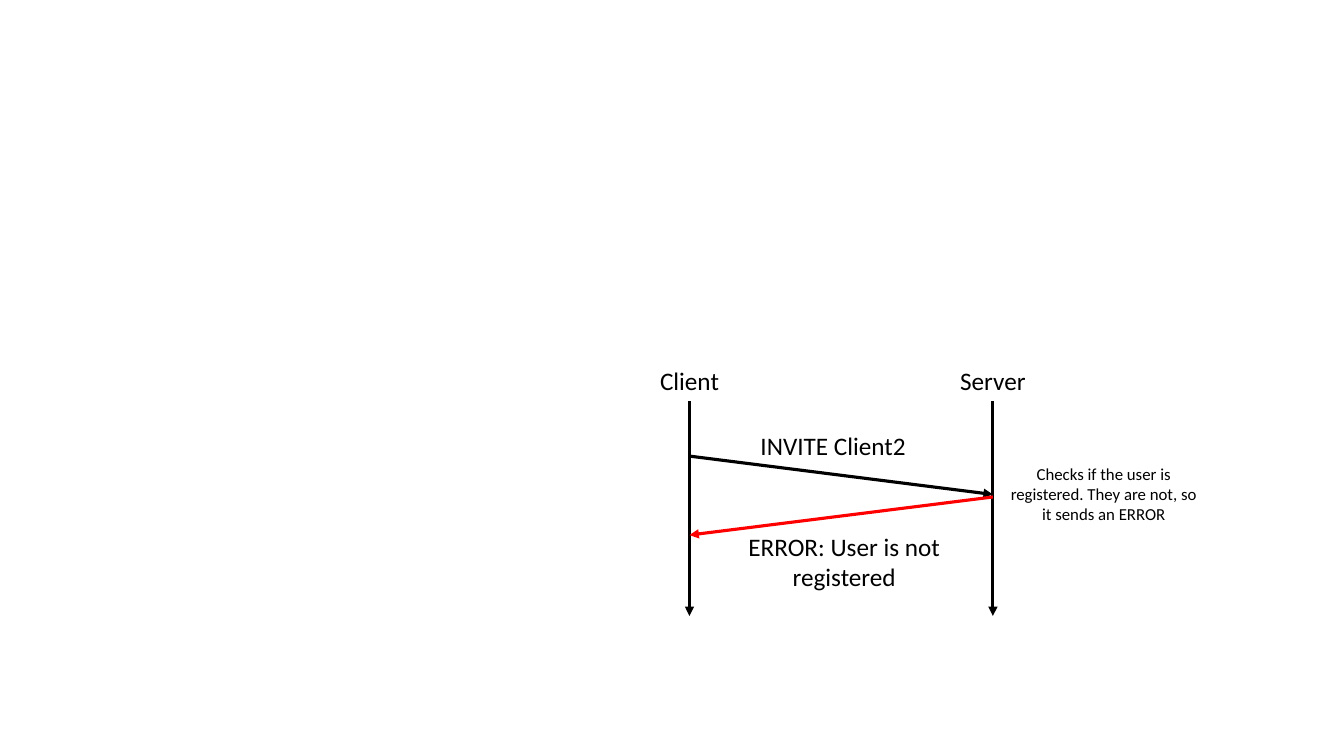
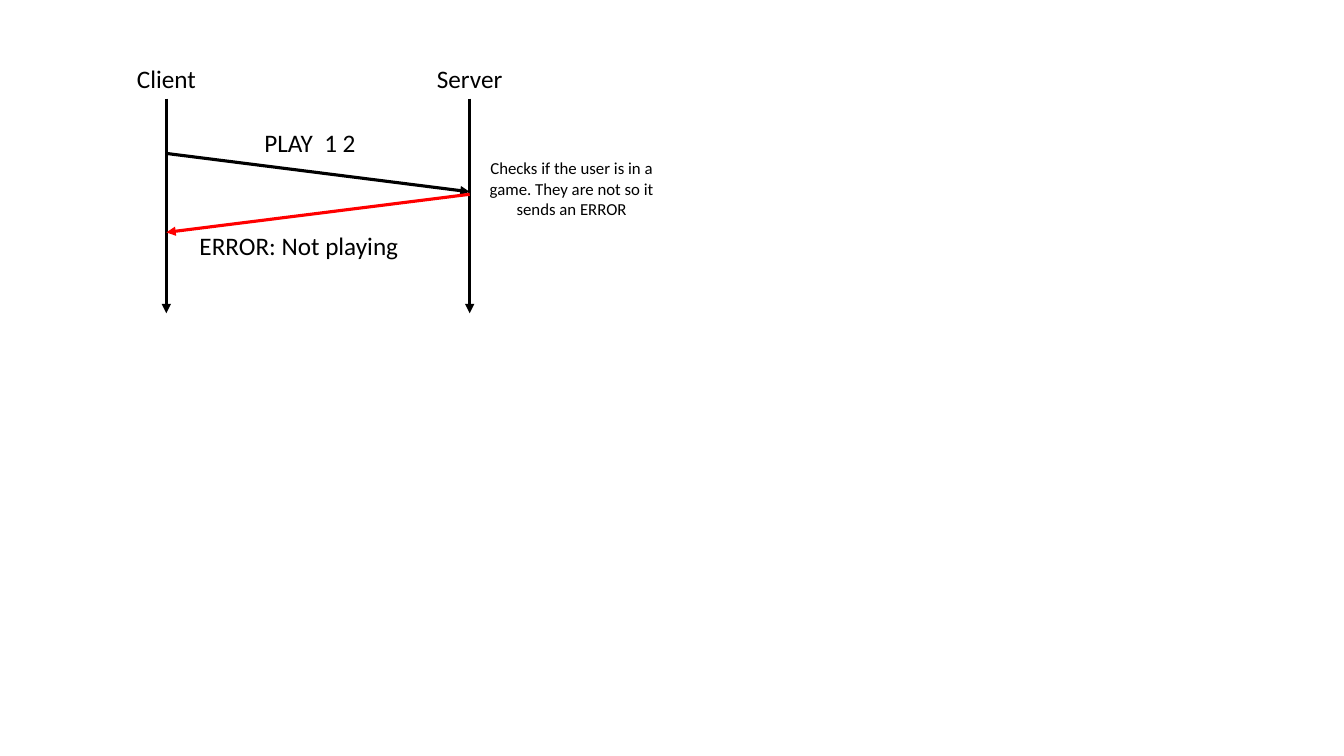
import pptx
import pptx.dml.color
import pptx.enum.shapes
import pptx.enum.text
import pptx.oxml
import pptx.oxml.ns
import pptx.util

Pt = pptx.util.Pt
ALIGN = pptx.enum.text.PP_ALIGN
COLOURS = {"background": "FFFFFF", "ink": "000000", "error": "FF0000"}


class SequenceDeck:
    font = "Calibri"
    label_size = 18
    note_size = 12
    line_width = 2.25
    label_height = 29
    lane_gap = 216.7
    lane_height = 153.4

    def __init__(self):
        self.deck = pptx.Presentation()
        self.deck.slide_width = Pt(960)
        self.deck.slide_height = Pt(540)
        self.page = None

    def colour(self, name):
        return pptx.dml.color.RGBColor.from_string(COLOURS[name])

    def add_page(self):
        self.page = self.deck.slides.add_slide(self.deck.slide_layouts[6])
        fill = self.page.background.fill
        fill.solid()
        fill.fore_color.rgb = self.colour("background")

    def text(self, words, left, top, width, height=label_height,
             size=label_size, align=ALIGN.CENTER):
        box = self.page.shapes.add_textbox(Pt(left), Pt(top), Pt(width), Pt(height))
        frame = box.text_frame
        frame.word_wrap = True
        frame.auto_size = pptx.enum.text.MSO_AUTO_SIZE.SHAPE_TO_FIT_TEXT
        para = frame.paragraphs[0]
        para.alignment = align
        span = para.add_run()
        span.text = words
        span.font.name = self.font
        span.font.size = Pt(size)
        span.font.color.rgb = self.colour("ink")

    def arrow(self, start, end, colour="ink"):
        line = self.page.shapes.add_connector(
            pptx.enum.shapes.MSO_CONNECTOR.STRAIGHT,
            Pt(start[0]), Pt(start[1]), Pt(end[0]), Pt(end[1]))
        line.line.width = Pt(self.line_width)
        line.line.color.rgb = self.colour(colour)
        head = pptx.oxml.parse_xml(
            f'<a:tailEnd {pptx.oxml.ns.nsdecls("a")} type="triangle"/>')
        line.line._get_or_add_ln().append(head)
        effects = pptx.oxml.parse_xml(f'<a:effectLst {pptx.oxml.ns.nsdecls("a")}/>')
        line._element.spPr.append(effects)

    def lane(self, name, x, top, label_width):
        self.text(name, x - label_width / 2, top - self.label_height, label_width)
        self.arrow((x, top), (x, top + self.lane_height))

    def exchange(self, client, top, request):
        server = client + self.lane_gap
        self.lane("Client", client, top, 65.5)
        self.lane("Server", server, top, 81.4)
        self.arrow((client, top + 39.2), (server, top + 66.6))
        self.arrow((server, top + 68.4), (client, top + 95.6), "error")
        self.text(request, client + 7.2, top + 17, 190.8)

    def note(self, words, left, top):
        self.text(words, left, top, 149.8, 51, self.note_size)


def main():
    show = SequenceDeck()

    show.add_page()
    show.exchange(492.5, 286.6, "INVITE Client2")
    show.text("ERROR: User is not registered", 511.9, 375.9, 182.2, 51)
    show.note("Checks if the user is registered. They are not, so it sends an ERROR",
              713.5, 327.6)

    show.add_page()
    show.exchange(118.8, 70.4, "PLAY  1 2")
    show.text("ERROR: Not playing", 135.4, 161.3, 216.7, align=ALIGN.LEFT)
    show.note("Checks if the user is in a game. They are not so it sends an ERROR",
              333.4, 109.4)

    show.deck.save("out.pptx")


if __name__ == "__main__":
    main()
